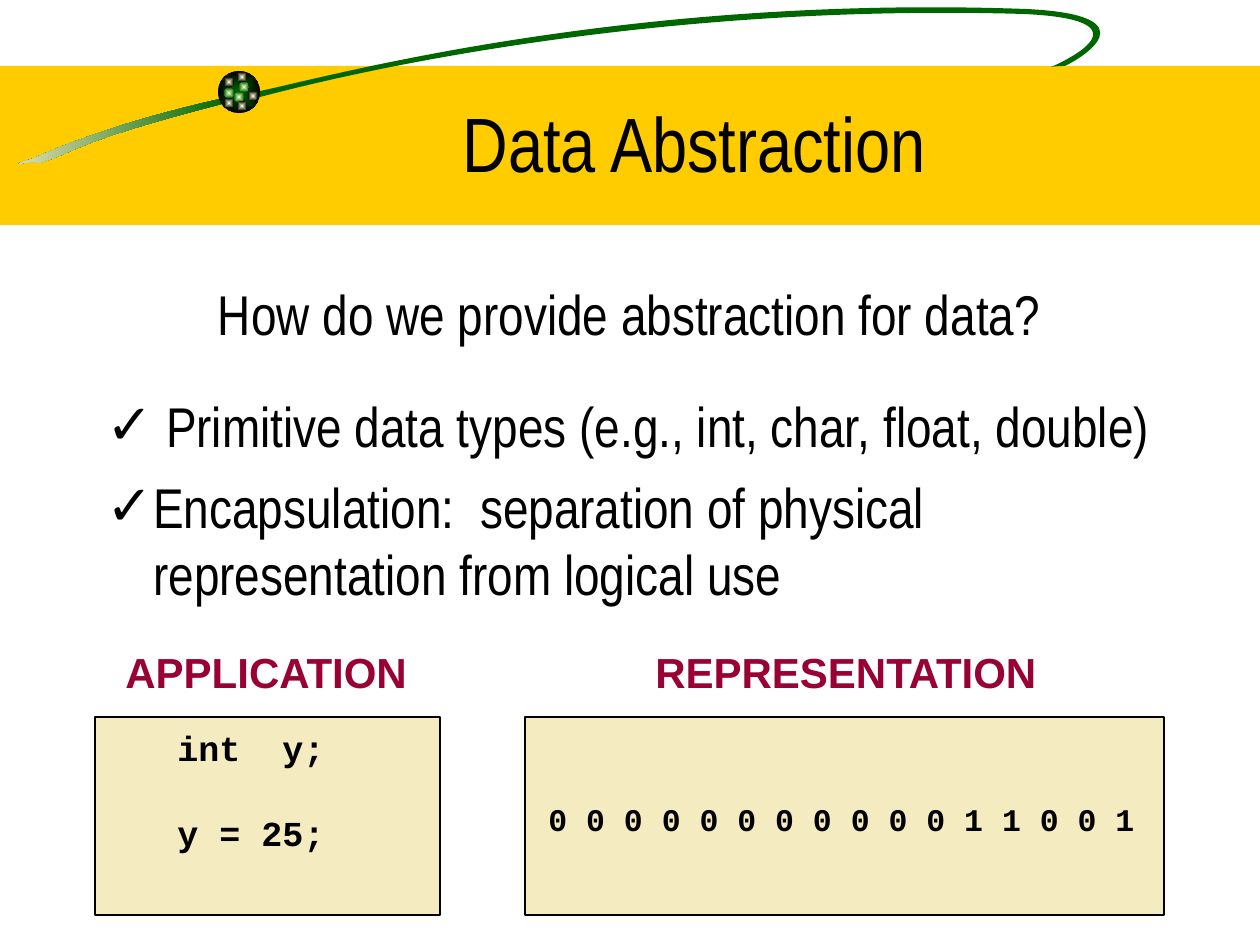
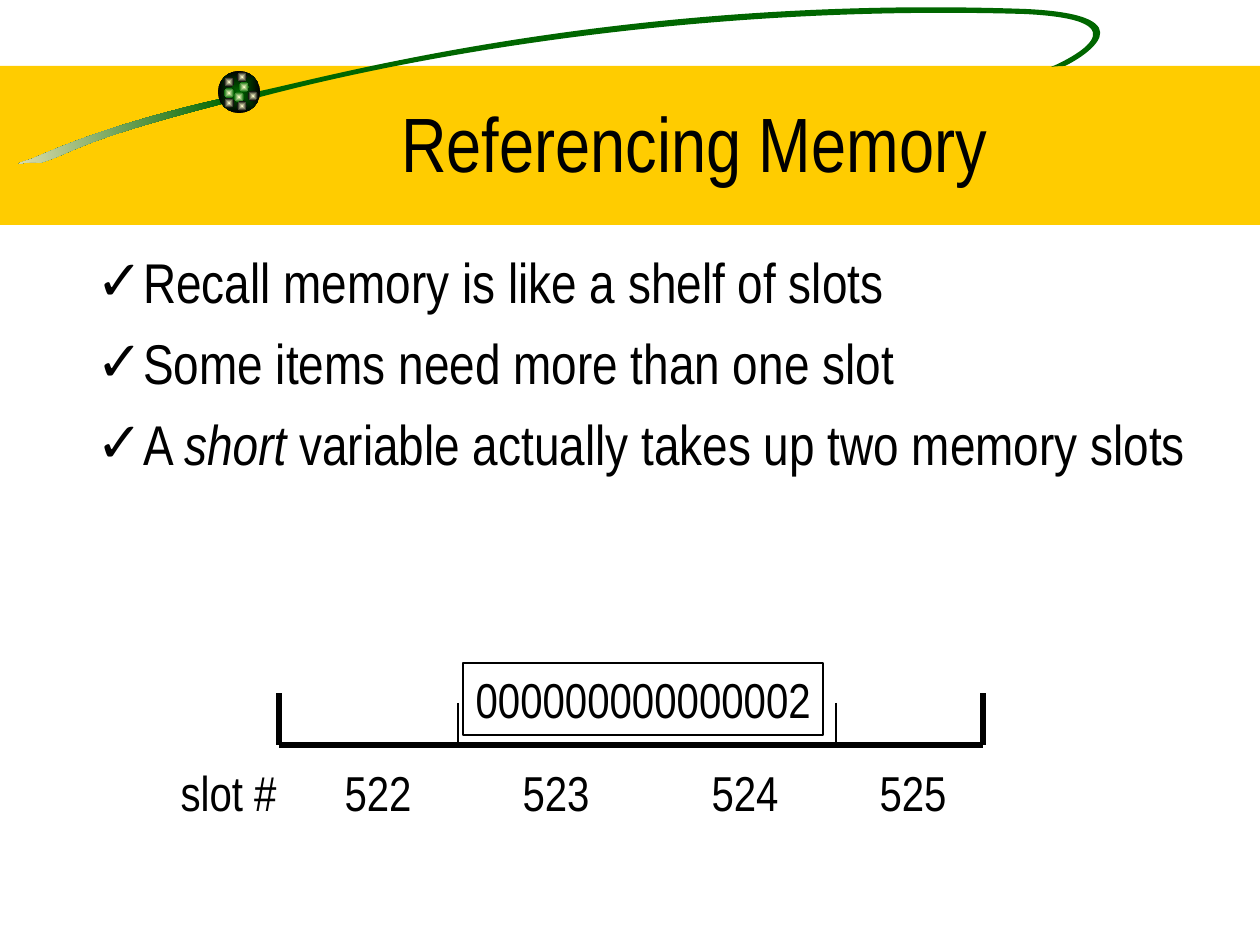
import math
from dataclasses import dataclass

from lxml import etree
from pptx import Presentation
from pptx.dml.color import RGBColor
from pptx.enum import shapes, text
from pptx.oxml.ns import qn
from pptx.util import Emu, Pt

PX = 914400 / 126  # EMU in one px


@dataclass(frozen=True)
class Style:
    font: str
    size: int
    color: str = "000000"
    bold: bool = False


@dataclass(frozen=True)
class Theme:
    ink: str = "000000"
    paper: str = "FFFFFF"
    band: str = "FFCC00"
    green: str = "006600"
    cream: str = "F5EBC1"
    glow: str = "FFFFCC"
    title: Style = Style("Arial Narrow", 44)
    body: Style = Style("Arial Narrow", 32)
    slot: Style = Style("Arial Narrow", 28)
    heading: Style = Style("Arial", 24, "990033", True)
    code: Style = Style("Courier New", 20, bold=True)
    bits: Style = Style("Courier New", 18, bold=True)
    check_font: str = "Arial"
    indent: int = 47
    gap: int = 8


THEME = Theme()

# ---- Content: positions are (left, top, width, height) in px ----
TITLE_AT = (159, 63, 1071, 158)
BAND_AT = (0, 66, 1260, 159)
VEIL_AT = (93, 260, 154, 685)
GLOBE_AT = (218, 71, 42, 42)
DOT = 10
GREEN_DOTS = [(239, 82), (224, 88), (234, 92)]
BLACK_DOTS = [(224, 77), (248, 91), (237, 101), (224, 98), (237, 72)]

# Outlines as seen: a start point, then curves (control, control, end);
# each lies in a frame that is tilted around its centre
TILT = -8.5
TAIL_AT = (-4, 115, 232, 38)
TAIL = [(224, 98),
        [(115, 123), (62, 146), (32, 159)],
        [(1, 169), (33, 159), (39, 163)],
        [(72, 154), (72, 142), (226, 103)],
        [(226, 103), (224, 98), (224, 98)]]
SWOOSH_AT = (253, -19, 902, 137)
SWOOSH = [(255, 92),
          [(310, 82), (612, -6), (1026, 9)],
          [(1155, 15), (1080, 59), (1065, 66)],
          [(1065, 66), (1056, 66), (1051, 67)],
          [(1063, 62), (1154, 20), (1024, 14)],
          [(690, 4), (403, 59), (260, 97)],
          [(260, 97), (255, 92), (255, 92)]]

ABSTRACTION = {
    "title": "Data Abstraction",
    "body_at": (94, 273, 1071, 567),
    "question": "How do we provide abstraction for data?",
    "points": [[" Primitive data types (e.g., int, char, float, double)"],
               ["Encapsulation:  separation of physical representation from logical use"]],
    "points_gap": 25.5,
    "panels": [(525, 717, 639, 198), (95, 717, 345, 198)],
    "labels": [
        ("APPLICATION", (113, 640, 310, 63), THEME.heading),
        ("REPRESENTATION", (643, 640, 413, 63), THEME.heading),
        ("0 0 0 0 0 0 0 0 0 0 0 1 1 0 0 1", (536, 794, 611, 48), THEME.bits),
        ("int  y;\ny = 25;", (165, 720, 173, 181), THEME.code),
    ],
    "code_gap": 24.5,
}

MEMORY = {
    "title": "Referencing Memory",
    "body_at": (84, 241, 1124, 305),
    "points": [["Recall memory is like a shelf of slots"],
               ["Some items need more than one slot"],
               ["A ", ("short",), " variable actually takes up two memory slots"]],
    "shelf": {"left": 279, "right": 983, "floor": 745, "wall_top": 693,
              "divider_top": 703, "dividers": [458, 836]},
    "slots": [("slot #", 228, 121), ("522", 378, 92), ("523", 556, 92),
              ("524", 745, 92), ("525", 913, 92)],
    "slots_top": 756,
    "slot_height": 72,
    "value": ("000000000000002", (463, 663, 360, 72)),
}


# ---- Helpers ----
def emu(*lengths):
    return [Emu(round(n * PX)) for n in lengths]


def rgb(color):
    return RGBColor.from_string(color)


def apply(paragraph, style):
    for run in paragraph.runs:
        run.font.name, run.font.size = style.font, Pt(style.size)
        run.font.bold = style.bold
        run.font.color.rgb = rgb(style.color)


def place(shape, at):
    shape.left, shape.top, shape.width, shape.height = emu(*at)


def paint(shape, color=None, line=None, width=1):
    shape.shadow.inherit = False
    if color:
        shape.fill.solid()
        shape.fill.fore_color.rgb = rgb(color)
    else:
        shape.fill.background()
    if line:
        shape.line.color.rgb, shape.line.width = rgb(line), Pt(width)
    else:
        shape.line.fill.background()


def paint_gradient(shape, first, last, angle=None):
    """Linear when an angle is given, otherwise from the centre outwards."""
    paint(shape)
    shape.fill.gradient()
    for stop, color in zip(shape.fill.gradient_stops, (first, last)):
        stop.color.rgb = rgb(color)
    if angle is not None:
        shape.fill.gradient_angle = angle
        return
    gradient = shape._element.spPr.find(qn("a:gradFill"))
    gradient.remove(gradient.find(qn("a:lin")))
    radial = etree.SubElement(gradient, qn("a:path"), {"path": "rect"})
    etree.SubElement(radial, qn("a:fillToRect"), dict.fromkeys("ltrb", "50000"))


def add_preset(slide, kind, at):
    return slide.shapes.add_shape(kind, *emu(*at))


def add_curve(slide, outline, at):
    left, top, width, height = at
    cos, sin = math.cos(math.radians(-TILT)), math.sin(math.radians(-TILT))

    def local(x, y):
        dx, dy = x - left - width / 2, y - top - height / 2
        return emu(width / 2 + dx * cos - dy * sin, height / 2 + dx * sin + dy * cos)

    start, *curves = outline
    builder = slide.shapes.build_freeform(*emu(*start))
    builder.add_line_segments([emu(*curve[-1]) for curve in curves])
    shape = builder.convert_to_shape()
    place(shape, at)
    shape.rotation = TILT

    # Swap the straight segments for Bézier ones
    track = next(shape._element.iter(qn("a:path")))
    for segment in list(track):
        track.remove(segment)
    for key, length in zip("wh", emu(width, height)):
        track.set(key, str(length))
    for tag, points in [("a:moveTo", [start])] + [("a:cubicBezTo", c) for c in curves]:
        segment = etree.SubElement(track, qn(tag))
        for point in points:
            x, y = local(*point)
            etree.SubElement(segment, qn("a:pt"), x=str(x), y=str(y))
    etree.SubElement(track, qn("a:close"))
    return shape


def add_line(slide, x1, y1, x2, y2, width):
    line = slide.shapes.add_connector(shapes.MSO_CONNECTOR.STRAIGHT, *emu(x1, y1, x2, y2))
    line.line.color.rgb, line.line.width = rgb(THEME.ink), Pt(width)
    etree.SubElement(line._element.spPr, qn("a:effectLst"))


def add_label(slide, words, at, style, align=text.PP_ALIGN.LEFT, gap=0):
    label = slide.shapes.add_textbox(*emu(*at))
    frame = label.text_frame
    frame.word_wrap = False
    frame.text = words
    for number, paragraph in enumerate(frame.paragraphs):
        paragraph.alignment = align
        paragraph.space_before = Pt(gap if number else 0)
        apply(paragraph, style)
    return label


def add_check(paragraph):
    props = paragraph._p.get_or_add_pPr()
    color = etree.SubElement(props, qn("a:buClr"))
    etree.SubElement(color, qn("a:srgbClr"), val=THEME.ink)
    etree.SubElement(props, qn("a:buFont"), typeface=THEME.check_font)
    etree.SubElement(props, qn("a:buChar"), char="✓")


def add_body(slide, content):
    frame = slide.shapes.add_textbox(*emu(*content["body_at"])).text_frame
    frame.word_wrap = True
    question = content.get("question")
    lines = ([[question]] if question else []) + content["points"]
    for number, line in enumerate(lines):
        paragraph = frame.add_paragraph() if number else frame.paragraphs[0]
        for part in line:  # a tuple holds italic words
            run = paragraph.add_run()
            run.font.italic = isinstance(part, tuple)
            run.text = part[0] if run.font.italic else part
        apply(paragraph, THEME.body)
        after_question = question and number == 1
        paragraph.space_before = Pt(content["points_gap"] if after_question else THEME.gap)
        indent, = emu(THEME.indent)
        props = paragraph._p.get_or_add_pPr()
        props.set("marL", str(indent))
        props.set("indent", str(-indent))
        if question and number == 0:
            paragraph.alignment = text.PP_ALIGN.CENTER
        else:
            add_check(paragraph)


# ---- Shared band, swoosh, globe and veil, kept on the layout ----
def decorate(layout, slide):
    box, oval = shapes.MSO_SHAPE.RECTANGLE, shapes.MSO_SHAPE.OVAL
    paint(add_preset(slide, box, BAND_AT), THEME.band)
    paint_gradient(add_curve(slide, TAIL, TAIL_AT), THEME.green, THEME.cream, angle=180)
    paint(add_curve(slide, SWOOSH, SWOOSH_AT), THEME.green)
    paint_gradient(add_preset(slide, oval, GLOBE_AT), THEME.green, THEME.ink)
    for dots, edge in ((GREEN_DOTS, THEME.green), (BLACK_DOTS, THEME.ink)):
        for x, y in dots:
            paint_gradient(add_preset(slide, oval, (x, y, DOT, DOT)), THEME.glow, edge)
    veil = add_preset(slide, box, VEIL_AT)
    paint(veil, THEME.paper)
    tint = next(veil._element.spPr.iter(qn("a:srgbClr")))
    etree.SubElement(tint, qn("a:alpha"), val="50000")
    for shape in list(slide.shapes):
        if not shape.is_placeholder:
            layout.shapes._spTree.append(shape._element)


def set_title(slide, words):
    title = slide.shapes.title
    place(title, TITLE_AT)
    frame = title.text_frame
    frame.text = words
    frame.auto_size = text.MSO_AUTO_SIZE.NONE
    frame.vertical_anchor = text.MSO_ANCHOR.MIDDLE
    frame.paragraphs[0].alignment = text.PP_ALIGN.CENTER
    apply(frame.paragraphs[0], THEME.title)


# ---- Slides ----
def fill_abstraction(slide, content):
    for at in content["panels"]:
        paint(add_preset(slide, shapes.MSO_SHAPE.RECTANGLE, at), THEME.cream, THEME.ink)
    for words, at, style in content["labels"]:
        add_label(slide, words, at, style, gap=content["code_gap"])


def fill_memory(slide, content):
    shelf = content["shelf"]
    left, right, floor = shelf["left"], shelf["right"], shelf["floor"]
    for x in (left, right):
        add_line(slide, x, shelf["wall_top"], x, floor, 3)
    add_line(slide, left, floor, right, floor, 3)
    for x in shelf["dividers"]:
        add_line(slide, x, shelf["divider_top"], x, floor, 1)
    centred = text.PP_ALIGN.CENTER
    for words, centre, width in content["slots"]:
        at = (centre - width // 2, content["slots_top"], width, content["slot_height"])
        add_label(slide, words, at, THEME.slot, centred)
    value = add_label(slide, *content["value"], THEME.slot, centred)
    value.line.color.rgb, value.line.width = rgb(THEME.ink), Pt(0.75)


def main():
    deck = Presentation()
    deck.slide_width, deck.slide_height = emu(1260, 945)
    layout = deck.slide_layouts[5]
    for content, fill in ((ABSTRACTION, fill_abstraction), (MEMORY, fill_memory)):
        slide = deck.slides.add_slide(layout)
        if len(deck.slides) == 1:
            decorate(layout, slide)
        set_title(slide, content["title"])
        add_body(slide, content)
        fill(slide, content)
    deck.save("out.pptx")


if __name__ == "__main__":
    main()
